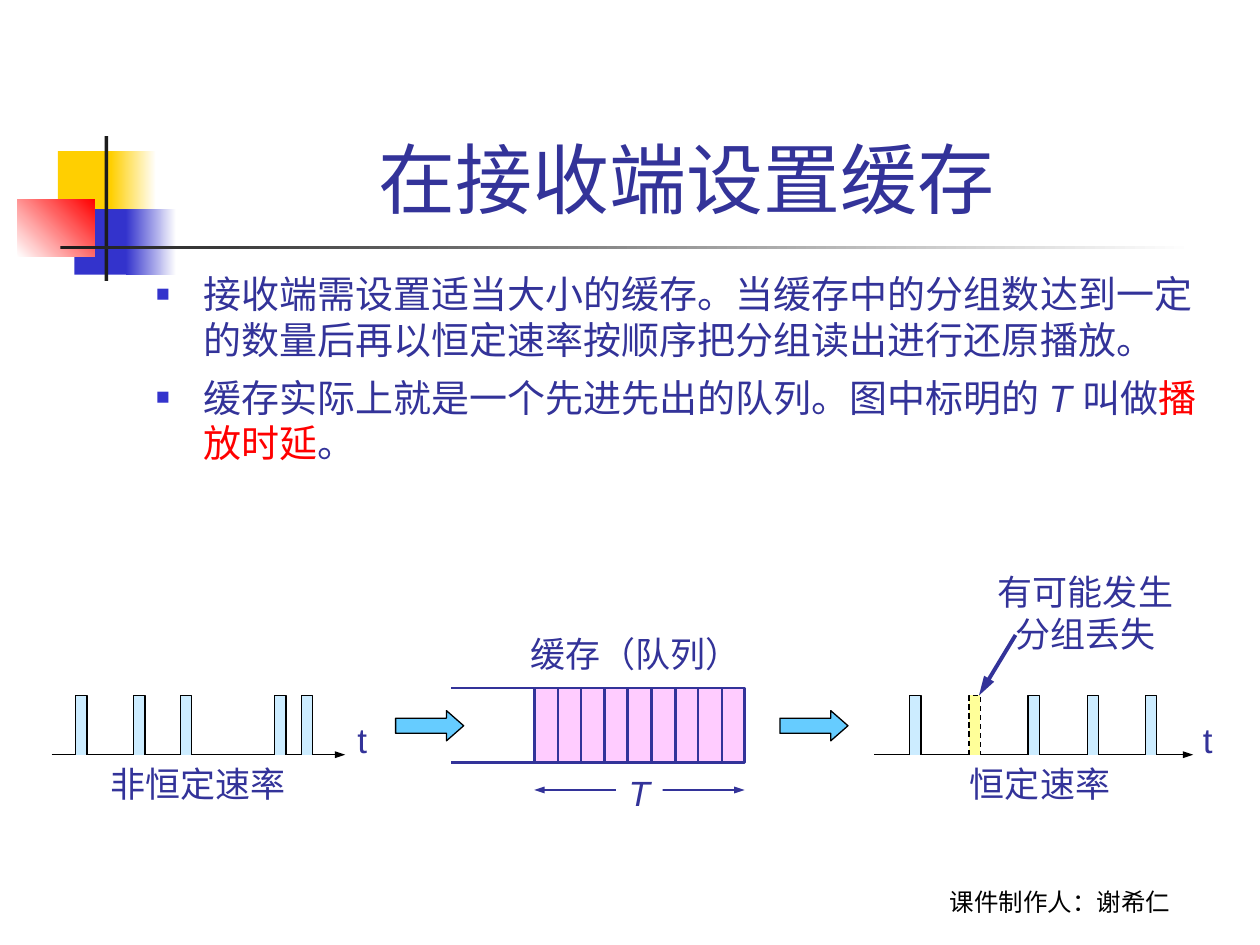
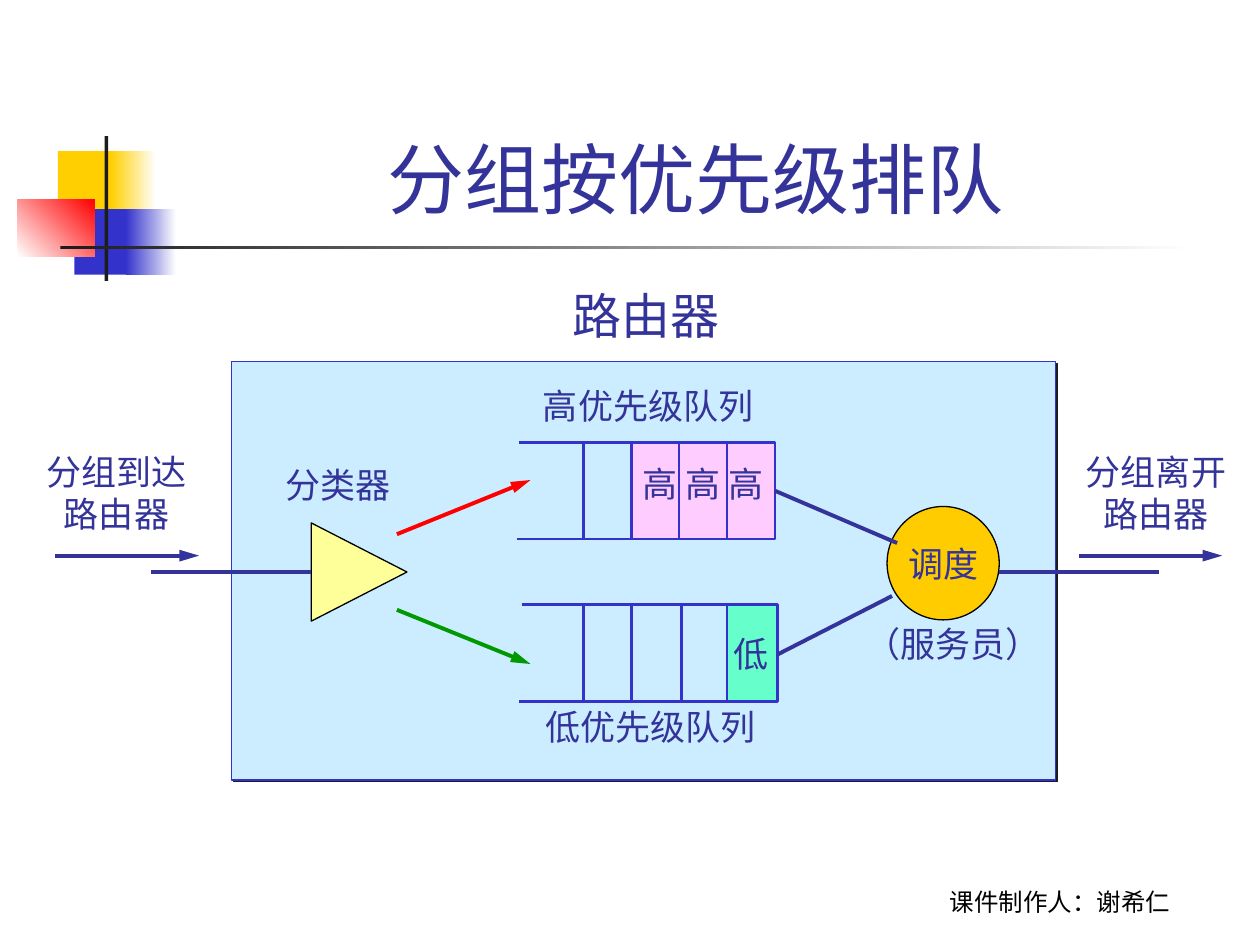
"""Build two slides on receiver buffering and priority queueing."""
from lxml.etree import SubElement
from pptx import Presentation
from pptx.dml.color import RGBColor
from pptx.enum.dml import MSO_LINE
from pptx.enum.shapes import MSO_CONNECTOR, MSO_SHAPE
from pptx.enum.text import MSO_ANCHOR, MSO_AUTO_SIZE, PP_ALIGN
from pptx.oxml.ns import qn
from pptx.util import Pt

PX = 9144
TITLE_ONLY = 5
INK, BLUE, BLACK, WHITE = "333399", "3333CC", "000000", "FFFFFF"
RED, DARK, YELLOW, SKY = "FF0000", "1C1C1C", "FFCF01", "CCECFF"
PINK, PALE_YELLOW = "FFCCFF", "FFFF99"
LABEL = {"name": "Arial", "size": Pt(20)}
TITLE = {"name": "Arial", "size": Pt(44)}
BODY = {"name": "Arial", "size": Pt(21.7)}
FOOTER = {"name": "Cabin", "size": Pt(14)}
HEADING = {"name": "Arial", "size": Pt(28)}


def rgb(color):
    return RGBColor.from_string(color)


def emu(*lengths):
    return [round(n * PX) for n in lengths]


class Deck:
    """Hold the presentation, its style and the current slide."""

    def __init__(self):
        self.prs = Presentation()
        self.prs.slide_width, self.prs.slide_height = emu(1000, 750)

    def new_slide(self, title):
        self.s = self.prs.slides.add_slide(self.prs.slide_layouts[TITLE_ONLY])
        self.rect(46, 120, 48, 52, YELLOW)
        self.gradient(88, 120, 36, 52, YELLOW, WHITE)
        self.rect(59, 166, 46, 52, BLUE)
        self.gradient(100, 166, 40, 52, BLUE, WHITE)
        self.gradient(14, 158, 61, 46, WHITE, RED, 45)
        self.rect(83, 108, 3, 115, DARK)
        self.gradient(48, 195, 900, 3, DARK, WHITE)
        sp = self.s.shapes.title
        sp.left, sp.top, sp.width, sp.height = emu(126, 23, 852, 160)
        self.fill_text(sp.text_frame, [title], TITLE, anchor=MSO_ANCHOR.BOTTOM, wrap=True)
        self.box(683, 682, 317, 50, ["课件制作人：谢希仁"], FOOTER, BLACK,
                 anchor=MSO_ANCHOR.BOTTOM, wrap=True)

    def run(self, p, text, fmt, color=INK):
        r = p.add_run()
        r.text = text
        for key, value in fmt.items():
            setattr(r.font, key, value)
        r.font.color.rgb = rgb(color)

    def fill_text(self, tf, lines, fmt=LABEL, color=INK, anchor=MSO_ANCHOR.TOP, wrap=False):
        frame = {"word_wrap": wrap, "auto_size": MSO_AUTO_SIZE.NONE, "vertical_anchor": anchor}
        for key, value in frame.items():
            setattr(tf, key, value)
        for i, line in enumerate(lines):
            p = tf.add_paragraph() if i else tf.paragraphs[0]
            p.alignment = PP_ALIGN.CENTER
            self.run(p, line, fmt, color)

    def box(self, x, y, w, h, lines, fmt=LABEL, color=INK, **frame):
        sp = self.s.shapes.add_textbox(*emu(x, y, w, h))
        self.fill_text(sp.text_frame, lines, fmt, color, **frame)
        return sp

    def label(self, x, y, w, *lines):
        return self.box(x, y, w, 11 + 33 * len(lines), lines)

    def bullets(self, x, y, w, h, items):
        tf = self.s.shapes.add_textbox(*emu(x, y, w, h)).text_frame
        tf.word_wrap = True
        for i, runs in enumerate(items):
            p = tf.add_paragraph() if i else tf.paragraphs[0]
            pPr = p._p.get_or_add_pPr()
            indent = emu(38)[0]
            pPr.set("marL", str(indent))
            pPr.set("indent", str(-indent))
            SubElement(SubElement(pPr, qn("a:buClr")), qn("a:srgbClr"), val=BLUE)
            SubElement(pPr, qn("a:buSzPct"), val="60000")
            SubElement(pPr, qn("a:buFont"), typeface="Arial")
            SubElement(pPr, qn("a:buChar"), char="■")
            if i:
                p.space_before = Pt(7)
            for text, extra, color in runs:
                self.run(p, text, BODY | extra, color)

    def paint(self, sp, fill=None, line=None, width=0.75):
        sp.shadow.inherit = False
        if fill:
            sp.fill.solid()
            sp.fill.fore_color.rgb = rgb(fill)
        else:
            sp.fill.background()
        if line:
            sp.line.color.rgb = rgb(line)
            sp.line.width = Pt(width)
        else:
            sp.line.fill.background()
        return sp

    def shape(self, kind, x, y, w, h, fill, line=None):
        return self.paint(self.s.shapes.add_shape(kind, *emu(x, y, w, h)), fill, line)

    def rect(self, x, y, w, h, fill, line=None):
        return self.shape(MSO_SHAPE.RECTANGLE, x, y, w, h, fill, line)

    def gradient(self, x, y, w, h, start, end, angle=0):
        sp = self.rect(x, y, w, h, start)
        sp.fill.gradient()
        sp.fill.gradient_angle = angle
        for stop, color, position in zip(sp.fill.gradient_stops, (start, end), (0, 1)):
            stop.color.rgb = rgb(color)
            stop.position = position

    def shadow(self, sp):
        effects = sp._element.spPr.find(qn("a:effectLst"))
        shdw = SubElement(effects, qn("a:outerShdw"), dist=str(Pt(1.4)), dir="2700000",
                          algn="ctr", rotWithShape="0")
        SubElement(shdw, qn("a:srgbClr"), val=DARK)

    def outline(self, points, fill=None, line=BLACK, width=0.75):
        builder = self.s.shapes.build_freeform(*points[0], scale=PX)
        builder.add_line_segments(points[1:], close=False)
        return self.paint(builder.convert_to_shape(), fill, line, width)

    def line(self, x1, y1, x2, y2, color=INK, width=2.25, ends=()):
        c = self.s.shapes.add_connector(MSO_CONNECTOR.STRAIGHT, *emu(x1, y1, x2, y2))
        c.line.color.rgb = rgb(color)
        c.line.width = Pt(width)
        w, length = ("med", "lg") if width > 2 else ("sm", "med")
        for end in ends:
            SubElement(c.line._get_or_add_ln(), qn(f"a:{end}"), type="triangle", w=w, len=length)
        SubElement(c._element.spPr, qn("a:effectLst"))
        return c

    def arrow(self, x1, y1, x2, y2, color=INK, width=2.25):
        return self.line(x1, y1, x2, y2, color, width, ["tailEnd"])

    def queue(self, x, y, right, h, dividers, color, skew=0):
        bottom = y + h
        self.outline([(x, y), (right, y), (right, bottom), (x - skew, bottom)], None, color, 1.5)
        for divider in dividers:
            self.line(divider, y, divider, bottom, color, 1.5)

    def packet(self, x, fill=SKY):
        return self.outline([(x, 599), (x, 552), (x + 9, 552), (x + 9, 599)], fill)

    def time_axis(self, x1, x2, t_x):
        self.arrow(x1, 599, x2, 599, BLACK, 0.75)
        self.label(t_x, 565, 27, "t")


def buffer_slide(deck):
    deck.new_slide("在接收端设置缓存 ")
    deck.bullets(114, 210, 850, 197, [
        [("接收端需设置适当大小的缓存。当缓存中的分组数达到一定的数量后"
          "再以恒定速率按顺序把分组读出进行还原播放。", {}, INK)],
        [("缓存实际上就是一个先进先出的队列。图中标明的 ", {}, INK),
         ("T ", {"italic": True}, INK), ("叫做", {}, INK),
         ("播放时延", {}, RED), ("。", {}, INK)],
    ])
    deck.time_axis(41, 274, 274)
    for x in (60, 106, 143, 218, 239):
        deck.packet(x)
    deck.label(78, 600, 159, "非恒定速率")

    deck.rect(424, 547, 166, 57, PINK)
    deck.queue(358, 546, 591, 59, [round(424 + 18.6 * i) for i in range(9)], INK)
    deck.label(411, 497, 187, "缓存（队列）")
    deck.line(424, 627, 591, 627, INK, 1.5, ["headEnd", "tailEnd"])
    delay = deck.rect(489, 607, 37, 44, WHITE)
    deck.fill_text(delay.text_frame, ["T"], LABEL | {"italic": True})
    for x in (314, 619):
        sp = deck.shape(MSO_SHAPE.RIGHT_ARROW, x, 564, 54, 24, "66CCFF", BLACK)
        sp.adjustments[1] = 0.57

    deck.time_axis(694, 947, 945)
    lost = deck.packet(769, PALE_YELLOW)
    lost.line.dash_style = MSO_LINE.DASH
    for x in (722, 816, 863, 909):
        deck.packet(x)
    deck.label(760, 600, 131, "恒定速率")
    deck.label(782, 448, 159, "有可能发生", "分组丢失")
    deck.arrow(806, 504, 777, 552)


def priority_slide(deck):
    deck.new_slide("分组按优先级排队")
    deck.box(445, 222, 136, 57, ["路由器"], HEADING)
    deck.shadow(deck.rect(184, 287, 654, 332, SKY, BLUE))

    high = deck.rect(500, 351, 115, 77, PINK)
    deck.queue(412, 351, 615, 77, range(463, 578, 38), BLUE, 2)
    deck.label(421, 300, 187, "高优先级队列")
    for i in range(3):
        deck.label(500 + 34 * i, 362, 48, "高")
    low = deck.rect(577, 481, 40, 77, "66FFCC")
    deck.queue(414, 480, 617, 77, (463, 501, 541, 577), BLUE, 2)
    deck.label(423, 555, 187, "低优先级队列")
    deck.label(572, 497, 48, "低")

    classifier = deck.shape(MSO_SHAPE.ISOSCELES_TRIANGLE, 246, 416, 78, 76, PALE_YELLOW, BLACK)
    classifier.rotation = 90
    deck.label(217, 363, 103, "分类器")
    deck.arrow(315, 424, 421, 381, RED)
    deck.arrow(315, 484, 421, 527, "009900")
    scheduler = deck.shape(MSO_SHAPE.OVAL, 704, 402, 89, 90, "FFCC00", BLACK)
    deck.fill_text(scheduler.text_frame, ["调度"], anchor=MSO_ANCHOR.MIDDLE)
    deck.label(677, 489, 159, "（服务员）")
    deck.line(615, 389, 712, 431).begin_connect(high, 3)
    deck.line(617, 519, 708, 473).begin_connect(low, 3)

    for x1, x2 in ((120, 247), (793, 920)):
        deck.line(x1, 454, x2, 454)
    for text_x, arrow_x, action in ((27, 44, "分组到达"), (852, 856, "分组离开")):
        deck.label(text_x, 353, 131, action, "路由器")
        deck.arrow(arrow_x, 441, arrow_x + 114, 441)


def main():
    deck = Deck()
    buffer_slide(deck)
    priority_slide(deck)
    deck.prs.save("out.pptx")


if __name__ == "__main__":
    main()
